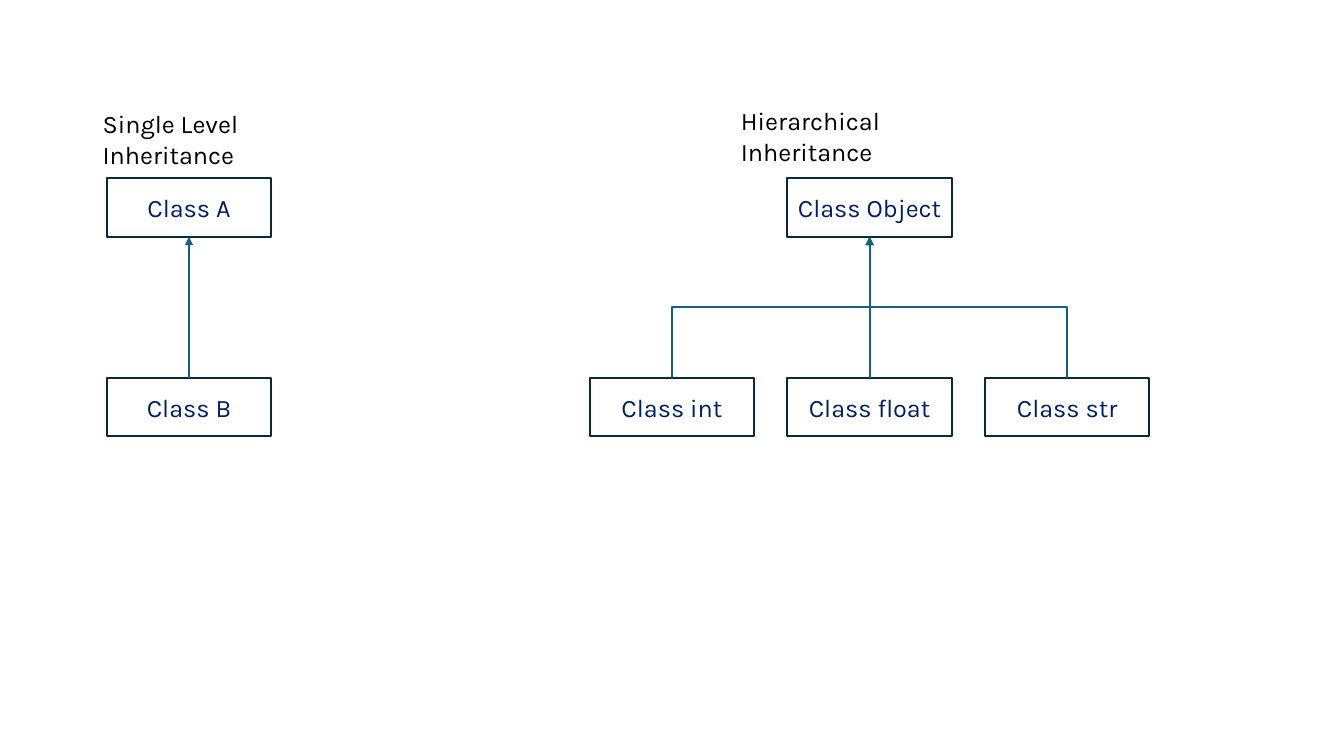
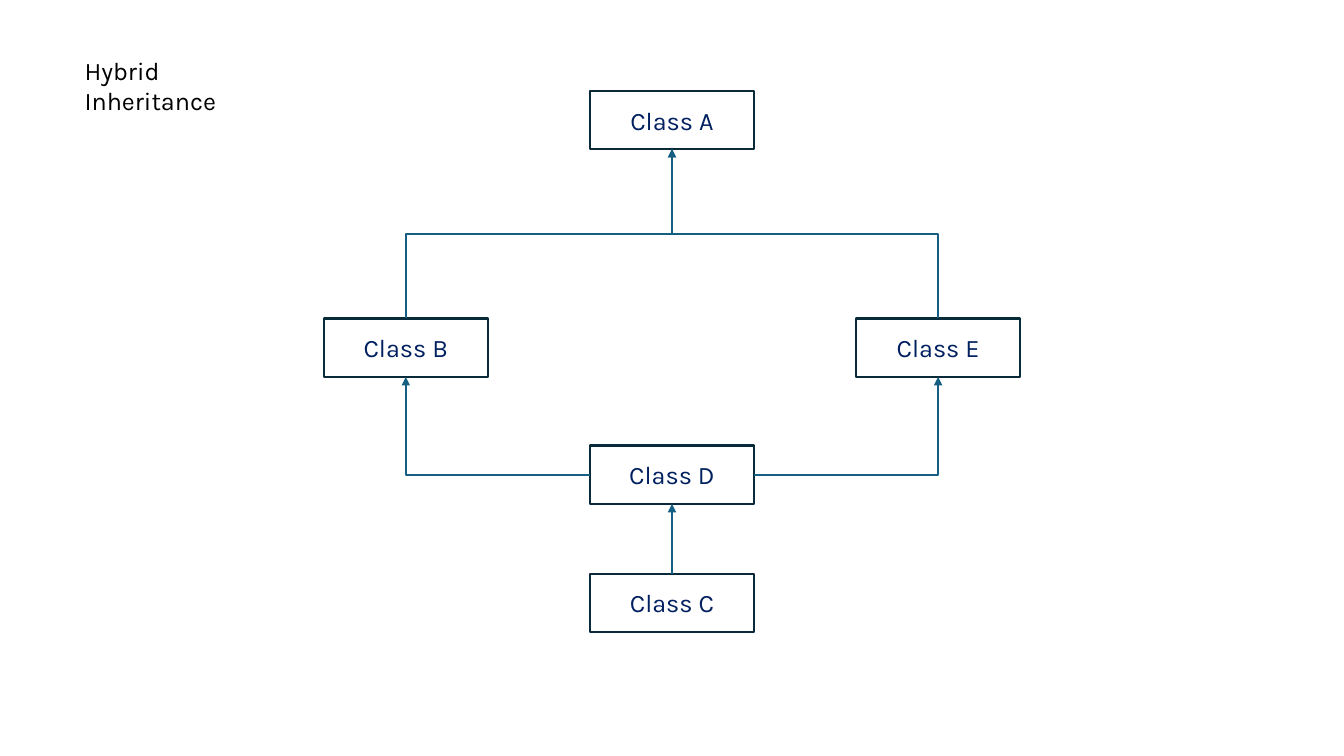
from pptx import Presentation
from pptx.dml.color import RGBColor
from pptx.enum.shapes import MSO_CONNECTOR, MSO_SHAPE
from pptx.enum.text import MSO_ANCHOR, PP_ALIGN
from pptx.oxml.ns import qn
from pptx.util import Inches, Pt
from lxml import etree

RECTANGLE = MSO_SHAPE.RECTANGLE
STRAIGHT, ELBOW = MSO_CONNECTOR.STRAIGHT, MSO_CONNECTOR.ELBOW
LEFT, CENTER = PP_ALIGN.LEFT, PP_ALIGN.CENTER
TOP, MIDDLE = MSO_ANCHOR.TOP, MSO_ANCHOR.MIDDLE
TOP_SITE, LEFT_SITE, BOTTOM_SITE, RIGHT_SITE = range(4)

COLORS = {"box": "FFFFFF", "border": "092A39", "class": "002060",
          "title": "000000", "arrow": "156082"}
FONT = "Karla"
FONT_SIZE = Pt(18)
LINE_WIDTH = Pt(1.5)
BOX_WIDTH, BOX_HEIGHT = 1.63, 0.58
TITLE_WIDTH, TITLE_HEIGHT = 1.8, 0.7

DIAGRAMS = [
    {
        "titles": [("Single Level Inheritance", 0.92, 1.03),
                   ("Hierarchical Inheritance", 7.25, 1)],
        "boxes": [("Class A", 1.06, 1.77), ("Class B", 1.06, 3.75),
                  ("Class Object", 7.81, 1.77)]
        + [(name, 5.85 + 1.96 * column, 3.75)
           for column, name in enumerate(["Class int", "Class float", "Class str"])],
        "arrows": [("Class B", "Class A", TOP_SITE)]
        + [(name, "Class Object", TOP_SITE)
           for name in ["Class int", "Class float", "Class str"]],
    },
    {
        "titles": [("Hybrid Inheritance", 0.74, 0.5)],
        "boxes": [("Class A", 5.85, 0.9), ("Class B", 3.21, 3.16),
                  ("Class E", 8.49, 3.16), ("Class D", 5.85, 4.42),
                  ("Class C", 5.85, 5.69)],
        "arrows": [("Class B", "Class A", TOP_SITE), ("Class E", "Class A", TOP_SITE),
                   ("Class D", "Class B", LEFT_SITE), ("Class D", "Class E", RIGHT_SITE),
                   ("Class C", "Class D", TOP_SITE)],
    },
]


def add_text(slide, text, left, top, width, height, *, color, boxed=False,
             align=LEFT, anchor=TOP, side_margin=0.1):
    bounds = [Inches(value) for value in (left, top, width, height)]
    if boxed:
        shape = slide.shapes.add_shape(RECTANGLE, *bounds)
        shape.shadow.inherit = False
        shape.fill.solid()
        shape.fill.fore_color.rgb = RGBColor.from_string(COLORS["box"])
        shape.line.color.rgb = RGBColor.from_string(COLORS["border"])
        shape.line.width = LINE_WIDTH
    else:
        shape = slide.shapes.add_textbox(*bounds)
    frame = shape.text_frame
    frame.word_wrap = True
    frame.vertical_anchor = anchor
    frame.margin_left = frame.margin_right = Inches(side_margin)
    paragraph = frame.paragraphs[0]
    paragraph.alignment = align
    run = paragraph.add_run()
    run.text = text
    run.font.name = FONT
    run.font.size = FONT_SIZE
    run.font.color.rgb = RGBColor.from_string(color)
    return shape


def add_arrow(slide, child, parent, child_site):
    """Join a side of the child to the parent's bottom, bending when they are not aligned."""
    aligned = abs(child.left - parent.left) < Inches(0.02)
    connector = slide.shapes.add_connector(STRAIGHT if aligned else ELBOW, 0, 0, 0, 0)
    connector.begin_connect(child, child_site)
    connector.end_connect(parent, BOTTOM_SITE)
    connector.line.color.rgb = RGBColor.from_string(COLORS["arrow"])
    connector.line.width = LINE_WIDTH
    properties = connector.element.spPr
    etree.SubElement(properties.find(qn("a:ln")), qn("a:tailEnd"), type="triangle")
    etree.SubElement(properties, qn("a:effectLst"))
    if aligned:
        return

    # Elbows leave the child sideways by default, so turn them to arrive from below.
    rightward = parent.left > child.left
    if child_site == TOP_SITE:
        turn = {"rot": "5400000", "flipH": "1", "flipV": "1"} if rightward else {
            "rot": "16200000", "flipV": "1"}
        across, down = connector.width, connector.height
        connector.left += (across - down) // 2
        connector.top += (down - across) // 2
        connector.width, connector.height = down, across
    else:
        turn = {"flipV": "1"} if rightward else {"rot": "10800000"}
        properties.find(qn("a:prstGeom")).set("prst", "bentConnector2")
    transform = properties.find(qn("a:xfrm"))
    transform.attrib.clear()
    transform.attrib.update(turn)


presentation = Presentation()
presentation.slide_width = Inches(13.33)
presentation.slide_height = Inches(7.5)
blank_layout = presentation.slide_layouts[6]

for diagram in DIAGRAMS:
    slide = presentation.slides.add_slide(blank_layout)
    for title, left, top in diagram["titles"]:
        add_text(slide, title, left, top, TITLE_WIDTH, TITLE_HEIGHT, color=COLORS["title"])
    boxes = {
        name: add_text(slide, name, left, top, BOX_WIDTH, BOX_HEIGHT, color=COLORS["class"],
                       boxed=True, align=CENTER, anchor=MIDDLE, side_margin=0.05)
        for name, left, top in diagram["boxes"]
    }
    for child, parent, child_site in diagram["arrows"]:
        add_arrow(slide, boxes[child], boxes[parent], child_site)

presentation.save("out.pptx")
